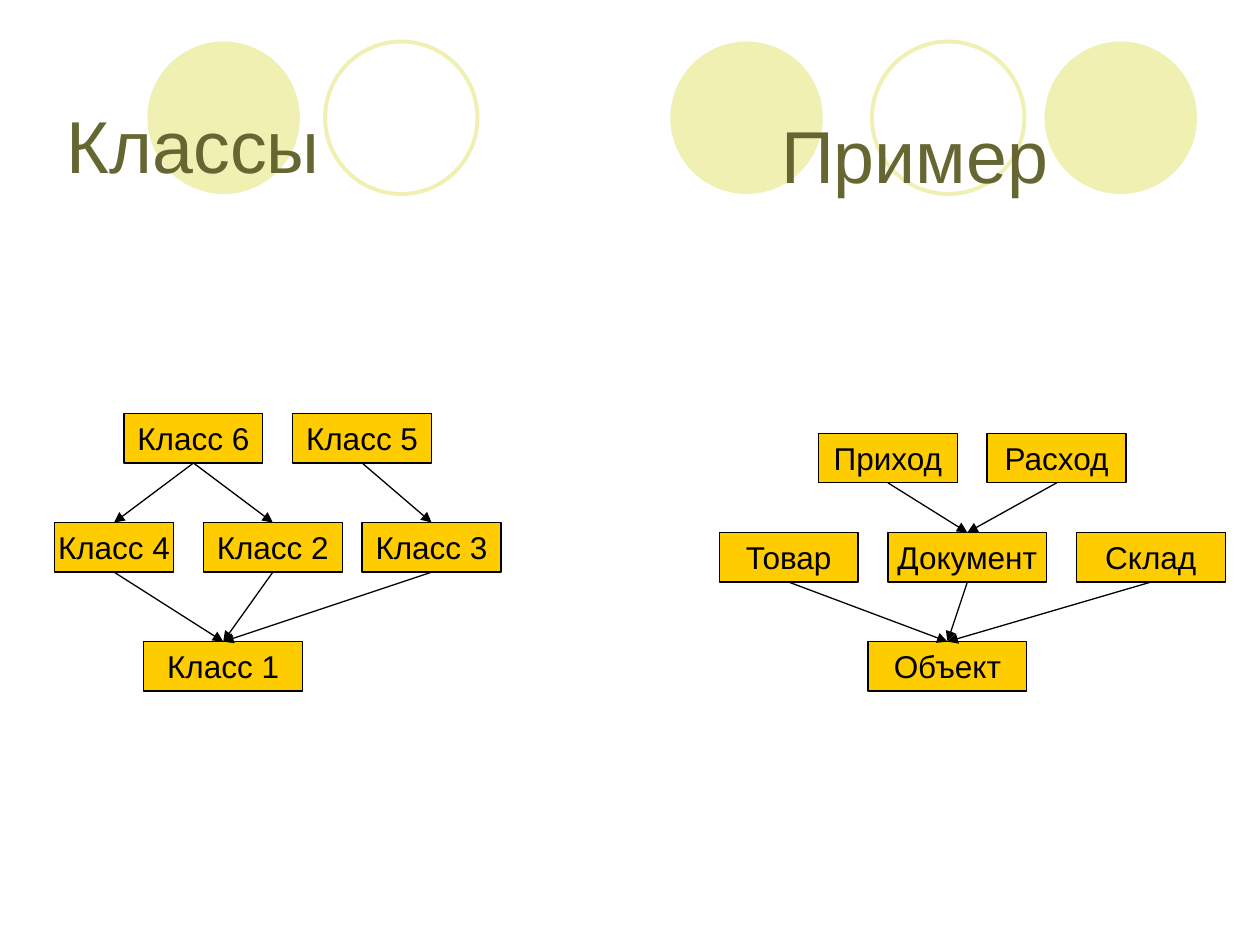
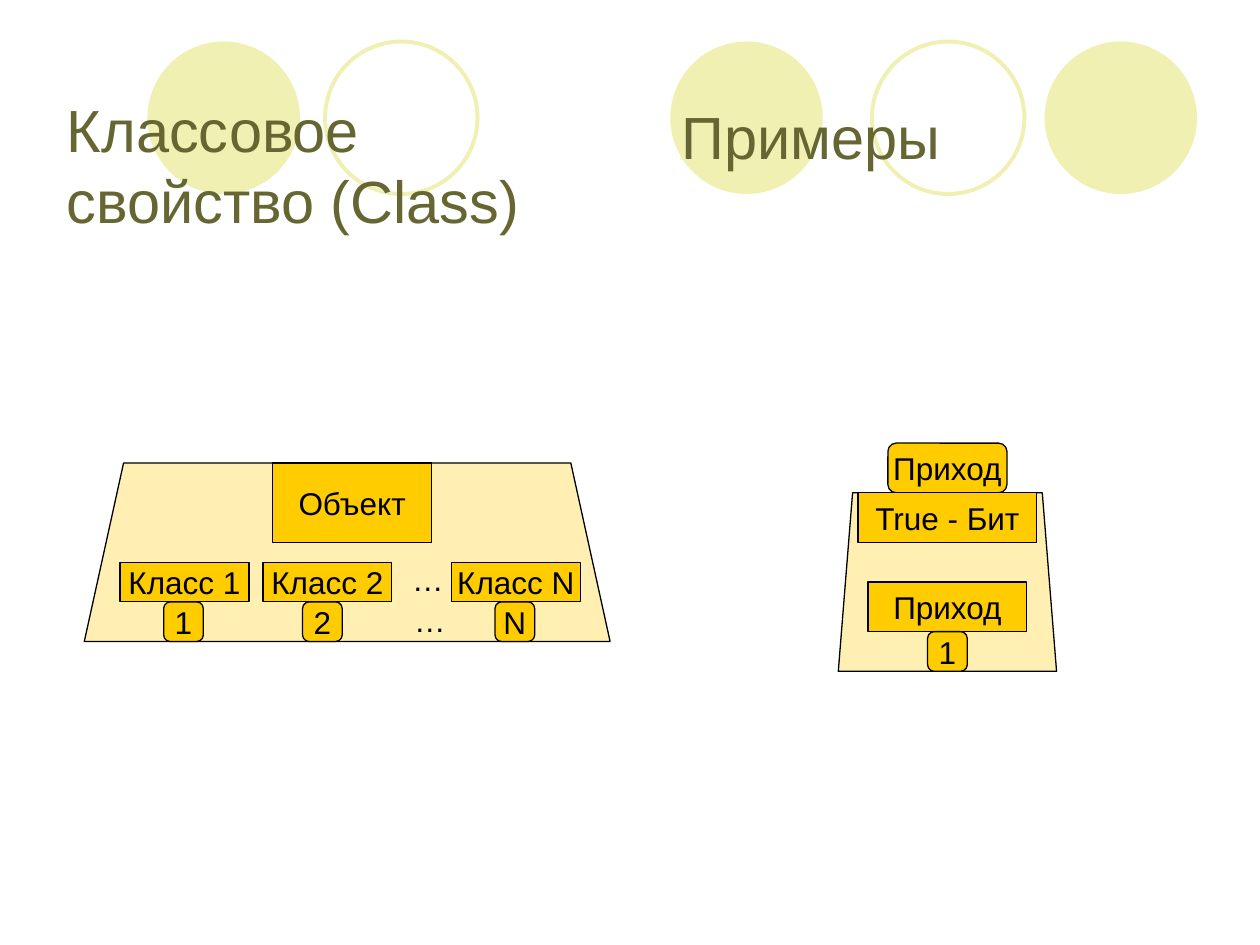
import pptx
import pptx.dml.color
import pptx.enum.shapes
import pptx.enum.text
import pptx.oxml.ns
import pptx.util
from lxml import etree

SHAPE = pptx.enum.shapes.MSO_SHAPE
ALIGN = pptx.enum.text.PP_ALIGN
ANCHOR = pptx.enum.text.MSO_ANCHOR
qn = pptx.oxml.ns.qn
inch = pptx.util.Inches

FONT = "Arial"
GOLD, BLACK, OLIVE, PALE = "FFCC00", "000000", "666633", "EFF0B2"
CELL_MM = 2
GRID_LEFT, GRID_TOP = 0.5, 0.67
CIRCLE_SIZE = 1.21
CIRCLE_TOP = 0.33
CIRCLES = [(5.32, True), (8.29, True), (1.17, True), (6.92, False), (2.58, False)]
HEADING_WIDTH, HEADING_HEIGHT = 4.41, 1.25

CLASSES = {
    "headings": [("Классы", 0.43, 0.52, HEADING_WIDTH), ("Пример", 6.1, 0.6, 2.91)],
    "heading_size": 42,
    "parts": [
        ("box", "Класс 6", 12, 41, 14, 5),
        ("box", "Класс 5", 29, 41, 14, 5),
        ("box", "Класс 4", 5, 52, 12, 5),
        ("box", "Класс 2", 20, 52, 14, 5),
        ("box", "Класс 3", 36, 52, 14, 5),
        ("box", "Класс 1", 14, 64, 16, 5),
        ("box", "Приход", 82, 43, 14, 5),
        ("box", "Расход", 99, 43, 14, 5),
        ("box", "Товар", 72, 53, 14, 5),
        ("box", "Документ", 89, 53, 16, 5),
        ("box", "Склад", 108, 53, 15, 5),
        ("box", "Объект", 87, 64, 16, 5),
    ],
    "arrows": [
        ("Класс 6", "Класс 4"), ("Класс 6", "Класс 2"), ("Класс 5", "Класс 3"),
        ("Класс 4", "Класс 1"), ("Класс 2", "Класс 1"), ("Класс 3", "Класс 1"),
        ("Приход", "Документ"), ("Расход", "Документ"),
        ("Товар", "Объект"), ("Документ", "Объект"), ("Склад", "Объект"),
    ],
}

CLASS_PROPERTY = {
    "headings": [
        ("Классовое свойство (Class)", 0.43, 0.68, HEADING_WIDTH),
        ("Примеры", 5.31, 0.45, HEADING_WIDTH),
    ],
    "heading_size": 34,
    "parts": [
        ("frame", 0.22, 8, 46, 53, 18),
        ("box", "Объект", 27, 46, 16, 8),
        ("badge", "1", 16, 60, 4, 4),
        ("box", "Класс 1", 11.6, 56, 13, 4),
        ("box", "Класс 2", 26, 56, 13, 4),
        ("box", "Класс N", 45, 56, 13, 4),
        ("badge", "2", 30, 60, 4, 4),
        ("badge", "N", 49.4, 60, 4, 4),
        ("gap", "…", 39.8, 55.2, 5.7, 5.1),
        ("gap", "…", 40, 59.3, 5.7, 5.1),
        ("badge", "Приход", 89, 44, 12, 5),
        ("frame", 0.08, 84, 49, 22, 18),
        ("box", "True - Бит", 86, 49, 18, 5),
        ("box", "Приход", 87, 58, 16, 5),
        ("badge", "1", 93, 63, 4, 4),
    ],
    "arrows": [],
}

OUTLINES = {"box": SHAPE.RECTANGLE, "badge": SHAPE.ROUNDED_RECTANGLE, "frame": SHAPE.TRAPEZOID}


def color(value):
    return pptx.dml.color.RGBColor.from_string(value)


def paint(part, fill, line, width):
    part.shadow.inherit = False
    if fill:
        part.fill.solid()
        part.fill.fore_color.rgb = color(fill)
    else:
        part.fill.background()
    if line:
        part.line.color.rgb = color(line)
        part.line.width = pptx.util.Pt(width)
    else:
        part.line.fill.background()


def write(frame, text, size, ink, align, anchor, wrap):
    frame.text = text
    frame.auto_size = pptx.enum.text.MSO_AUTO_SIZE.NONE
    frame.word_wrap = wrap
    frame.vertical_anchor = anchor
    paragraph = frame.paragraphs[0]
    paragraph.alignment = align
    paragraph.font.name = FONT
    paragraph.font.size = pptx.util.Pt(size)
    paragraph.font.color.rgb = color(ink)


def move_circles_to_layout(slide, layout):
    for left, filled in CIRCLES:
        circle = slide.shapes.add_shape(
            SHAPE.OVAL, inch(left), inch(CIRCLE_TOP), inch(CIRCLE_SIZE), inch(CIRCLE_SIZE))
        paint(circle, PALE if filled else None, None if filled else PALE, 2.25)
        layout.shapes.element.insert(2, circle.element)


def add_headings(slide, headings, size):
    for order, (text, left, top, width) in enumerate(headings):
        place = inch(left), inch(top), inch(width), inch(HEADING_HEIGHT)
        if order == 0:
            heading = slide.shapes.title
            heading.left, heading.top, heading.width, heading.height = place
        else:
            heading = slide.shapes.add_textbox(*place)
        write(heading.text_frame, text, size, OLIVE, ALIGN.LEFT, ANCHOR.MIDDLE, True)


def add_part(slide, role, content, column, row, columns, rows):
    place = [pptx.util.Mm(CELL_MM * cells)
             for cells in (column + GRID_LEFT, row + GRID_TOP, columns, rows)]
    if role == "gap":
        gap = slide.shapes.add_textbox(*place)
        write(gap.text_frame, content, 18, BLACK, ALIGN.LEFT, ANCHOR.TOP, False)
        return gap
    part = slide.shapes.add_shape(OUTLINES[role], *place)
    paint(part, GOLD, BLACK, 0.75)
    if role == "frame":
        part.adjustments[0] = content
        tint = part.element.spPr.find(qn("a:solidFill")).find(qn("a:srgbClr"))
        etree.SubElement(tint, qn("a:alpha"), val="30000")
    else:
        write(part.text_frame, content, 18, BLACK, ALIGN.CENTER, ANCHOR.MIDDLE, False)
    return part


def add_arrow(slide, child, parent):
    arrow = slide.shapes.add_connector(pptx.enum.shapes.MSO_CONNECTOR.STRAIGHT, 0, 0, 0, 0)
    arrow.begin_connect(child, 2)
    arrow.end_connect(parent, 0)
    arrow.line.color.rgb = color(BLACK)
    arrow.line.width = pptx.util.Pt(0.75)
    properties = arrow.element.spPr
    etree.SubElement(properties.find(qn("a:ln")), qn("a:tailEnd"), type="triangle")
    etree.SubElement(properties, qn("a:effectLst"))


def main():
    deck = pptx.Presentation()
    deck.slide_width, deck.slide_height = inch(10), inch(7.5)
    layout = deck.slide_layouts[5]
    for topic in (CLASSES, CLASS_PROPERTY):
        slide = deck.slides.add_slide(layout)
        if topic is CLASSES:
            move_circles_to_layout(slide, layout)
        parts = {part[1]: add_part(slide, *part) for part in topic["parts"]}
        for child, parent in topic["arrows"]:
            add_arrow(slide, parts[child], parts[parent])
        add_headings(slide, topic["headings"], topic["heading_size"])
    deck.save("out.pptx")


if __name__ == "__main__":
    main()
